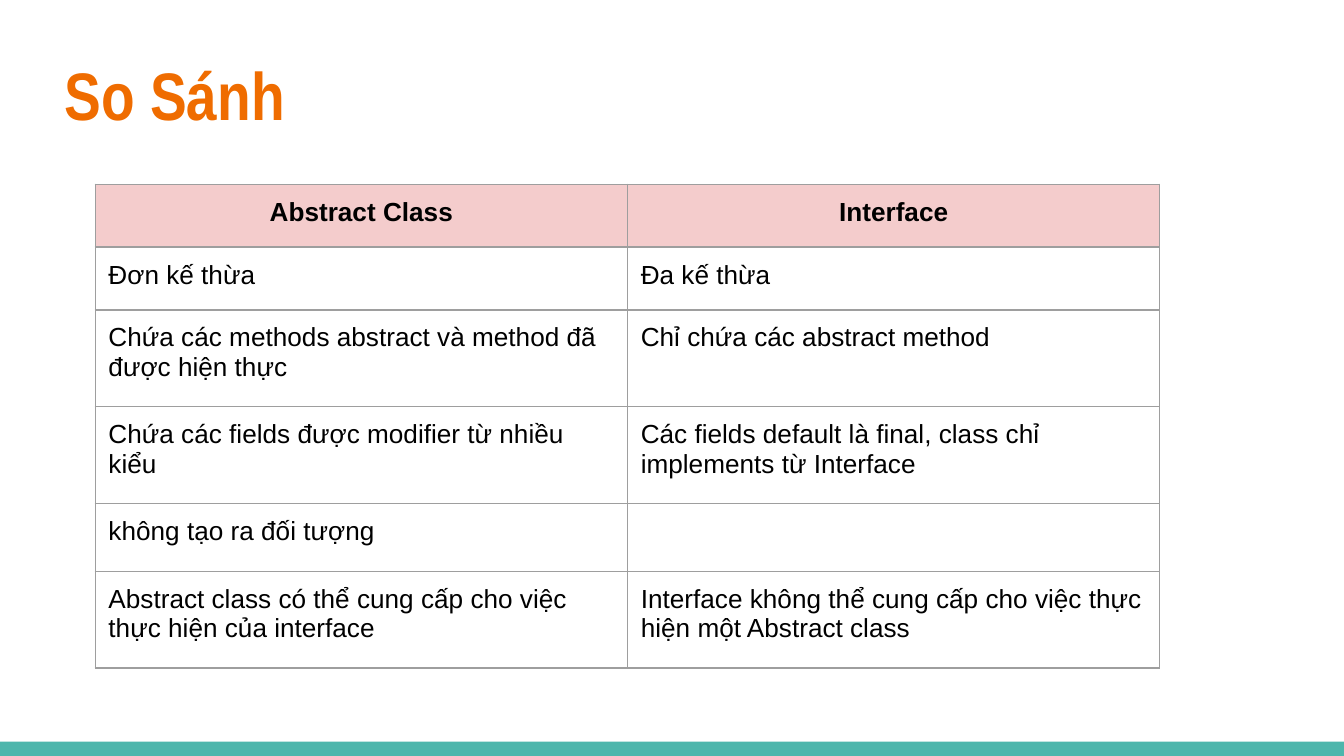
from lxml import etree
from pptx import Presentation
from pptx.dml.color import RGBColor
from pptx.enum.shapes import MSO_SHAPE
from pptx.enum.text import MSO_ANCHOR, MSO_AUTO_SIZE, PP_ALIGN
from pptx.oxml.ns import qn
from pptx.util import Cm, Pt

RECT = MSO_SHAPE.RECTANGLE
TOP = MSO_ANCHOR.TOP
NO_FIT = MSO_AUTO_SIZE.NONE
LEFT, CENTER = PP_ALIGN.LEFT, PP_ALIGN.CENTER

ORANGE = RGBColor(0xEF, 0x6C, 0x00)
TEAL = RGBColor(0x4D, 0xB6, 0xAC)
PINK = RGBColor(0xF4, 0xCC, 0xCC)
GRAY = RGBColor(0x9E, 0x9E, 0x9E)
BLACK = RGBColor(0x00, 0x00, 0x00)

SHORT_ROW, TALL_ROW = 1.19, 1.83
ROWS = [
    (SHORT_ROW, "Abstract Class", "Interface"),
    (SHORT_ROW, "Đơn kế thừa", "Đa kế thừa"),
    (TALL_ROW, "Chứa các methods abstract và method đã được hiện thực",
     "Chỉ chứa các abstract method"),
    (TALL_ROW, "Chứa các fields được modifier từ nhiều kiểu",
     "Các fields default là final, class chỉ implements từ Interface"),
    (SHORT_ROW, "không tạo ra đối tượng", ""),
    (TALL_ROW, "Abstract class có thể cung cấp cho việc thực hiện của interface",
     "Interface không thể cung cấp cho việc thực hiện một Abstract class"),
]


class SlideBuilder:
    title_font = "Arial Narrow"
    body_font = "Arial"
    inset = Cm(0.25)

    def __init__(self, slide):
        self.s = slide

    def add_run(self, p, text, font, size, color, bold):
        r = p.add_run()
        r.text = text
        r.font.name = font
        r.font.size = Pt(size)
        r.font.bold = bold
        r.font.color.rgb = color

    def set_insets(self, target):
        target.margin_left = target.margin_right = self.inset
        target.margin_top = target.margin_bottom = self.inset
        target.vertical_anchor = TOP

    def title(self, text, x, y, w, h):
        sp = self.s.shapes.title
        sp.left, sp.top, sp.width, sp.height = Cm(x), Cm(y), Cm(w), Cm(h)
        tf = sp.text_frame
        tf.auto_size = NO_FIT
        self.set_insets(tf)
        p = tf.paragraphs[0]
        p.alignment = LEFT
        self.add_run(p, text, self.title_font, 36, ORANGE, True)

    def bar(self, x, y, w, h, color):
        sp = self.s.shapes.add_shape(RECT, Cm(x), Cm(y), Cm(w), Cm(h))
        sp.shadow.inherit = False
        sp.fill.solid()
        sp.fill.fore_color.rgb = color
        sp.line.fill.background()

    def borders(self, cell):
        tc_pr = cell._tc.get_or_add_tcPr()
        for side in ("lnL", "lnR", "lnT", "lnB"):
            ln = etree.SubElement(tc_pr, qn(f"a:{side}"), w=str(Pt(0.75)))
            fill = etree.SubElement(ln, qn("a:solidFill"))
            etree.SubElement(fill, qn("a:srgbClr"), val=str(GRAY))

    def cell(self, cell, text, header):
        self.set_insets(cell)
        self.borders(cell)
        if header:
            cell.fill.solid()
            cell.fill.fore_color.rgb = PINK
        else:
            cell.fill.background()
        if text:
            p = cell.text_frame.paragraphs[0]
            p.alignment = CENTER if header else LEFT
            self.add_run(p, text, self.body_font, 14, BLACK, header)

    def table(self, rows, x, y, col_w):
        n_cols = len(rows[0]) - 1
        height = sum(row[0] for row in rows)
        frame = self.s.shapes.add_table(
            len(rows), n_cols, Cm(x), Cm(y), Cm(col_w * n_cols), Cm(height))
        tbl = frame.table
        tbl.horz_banding = False
        for col in tbl.columns:
            col.width = Cm(col_w)
        for i, (row_h, *texts) in enumerate(rows):
            tbl.rows[i].height = Cm(row_h)
            for j, text in enumerate(texts):
                self.cell(tbl.cell(i, j), text, i == 0)


def main():
    prs = Presentation()
    prs.slide_width, prs.slide_height = Cm(25.4), Cm(14.29)
    builder = SlideBuilder(prs.slides.add_slide(prs.slide_layouts[5]))
    builder.bar(0, 14.02, 25.4, 0.27, TEAL)
    builder.title("So Sánh", 0.97, 0.76, 23.67, 1.96)
    builder.table(ROWS, 1.8, 3.48, 10.06)
    prs.save("out.pptx")


if __name__ == "__main__":
    main()
